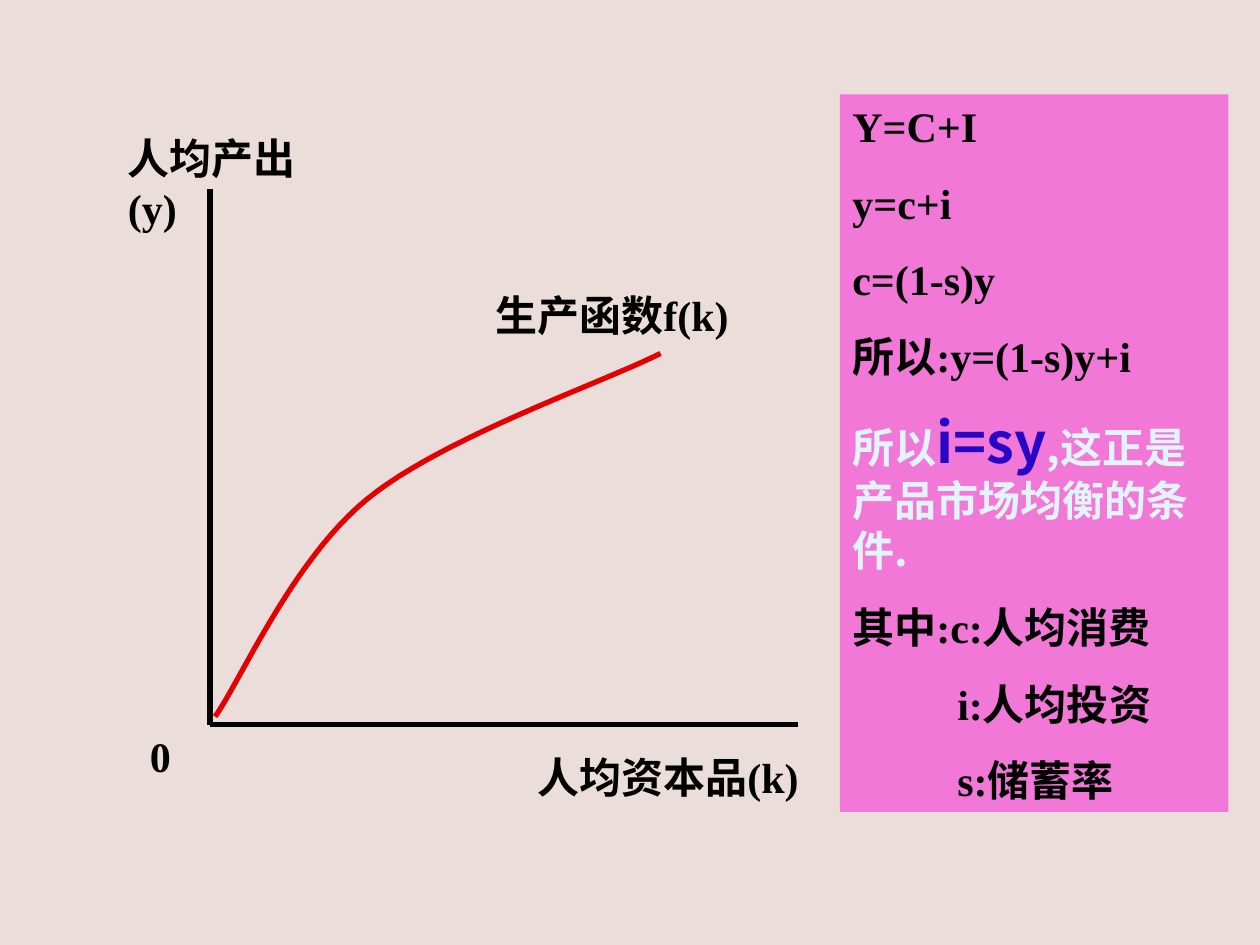
"""Build the production function slide with its derivation panel."""
from dataclasses import dataclass
from typing import NamedTuple

from lxml.etree import SubElement
from pptx import Presentation
from pptx.dml.color import RGBColor as Rgb
from pptx.enum.shapes import MSO_CONNECTOR as Connector, MSO_SHAPE as Preset
from pptx.enum.text import MSO_ANCHOR as Anchor, MSO_AUTO_SIZE as AutoSize, PP_ALIGN as Align
from pptx.oxml.ns import qn
from pptx.util import Pt


@dataclass(frozen=True)
class Theme:
    """Colours, fonts and type sizes of the slide."""
    backdrop: str = "EBDDD9"
    ink: str = "000000"
    curve: str = "E40000"
    panel: str = "F278D8"
    pale: str = "E1F4FF"
    accent: str = "2707C5"
    serif: str = "Times New Roman"
    sans: str = "Noto Sans CJK SC"
    text: float = 24
    large: float = 32
    gap: float = 15
    stroke: float = 3


THEME = Theme()


class Point(NamedTuple):
    """A position in points."""
    x: float
    y: float


class Span(NamedTuple):
    """A stretch of text with one format."""
    text: str
    color: str = THEME.ink
    font: str = THEME.serif
    size: float = THEME.text


class Line(NamedTuple):
    """A paragraph of the panel."""
    spans: list[Span]
    indent: float = 0


class Label(NamedTuple):
    """A free label of the diagram."""
    text: str
    left: float
    top: float
    width: float
    height: float
    wrap: bool = True


LABELS = [
    Label("人均资本品(k)", 300, 426, 180, 36),
    Label("人均产出(y)", 66, 72, 138, 65),
    Label("生产函数f(k)", 276, 162, 156, 36),
    Label("0", 78.5, 414, 26, 36, wrap=False),
]
ORIGIN = Point(120, 414)
AXIS_ENDS = [Point(120, 108), Point(456, 414)]
CURVE = [
    [Point(123, 409.5), Point(137.5, 389), Point(167, 320.5), Point(209.5, 285.5)],
    [Point(209.5, 285.5), Point(252, 250.5), Point(342.5, 219.5), Point(377.5, 202)],
]
PANEL_LINES = [
    Line([Span("Y=C+I")]),
    Line([Span("y=c+i")]),
    Line([Span("c=(1-s)y")]),
    Line([Span("所以:y=(1-s)y+i")]),
    Line([
        Span("所以", THEME.pale, THEME.sans),
        Span("i=sy", THEME.accent, THEME.sans, THEME.large),
        Span(",这正是产品市场均衡的条件.", THEME.pale, THEME.sans),
    ]),
    Line([Span("其中:c:人均消费")]),
    Line([Span("i:人均投资")], indent=60),
    Line([Span("s:储蓄率")], indent=60),
]


def add_span(para, text: str, *, color: str, font: str, size: float) -> None:
    """Append bold text in the given format."""
    run = para.add_run()
    run.text = text
    run.font.size = Pt(size)
    run.font.bold = True
    run.font.name = font
    run.font.color.rgb = Rgb.from_string(color)
    SubElement(run.font._element, qn("a:ea"), typeface=THEME.sans)


def fill_frame(frame, lines: list[Line], wrap: bool = True) -> None:
    """Write the lines into a text frame."""
    frame.word_wrap = wrap
    frame.auto_size = AutoSize.SHAPE_TO_FIT_TEXT
    frame.vertical_anchor = Anchor.TOP
    for index, line in enumerate(lines):
        para = frame.add_paragraph() if index else frame.paragraphs[0]
        para.alignment = Align.LEFT
        para.space_before = Pt(THEME.gap if index else 0)
        if line.indent:
            para._p.get_or_add_pPr().set("marL", str(Pt(line.indent)))
        for span in line.spans:
            add_span(para, span.text, color=span.color, font=span.font, size=span.size)


def add_label(page, label: Label) -> None:
    """Place a diagram label."""
    box = page.shapes.add_textbox(
        Pt(label.left), Pt(label.top), Pt(label.width), Pt(label.height))
    fill_frame(box.text_frame, [Line([Span(label.text)])], label.wrap)


def style_stroke(shape, color: str) -> None:
    """Set the line colour and width."""
    shape.line.color.rgb = Rgb.from_string(color)
    shape.line.width = Pt(THEME.stroke)


def add_axis(page, start: Point, end: Point) -> None:
    """Draw one axis."""
    axis = page.shapes.add_connector(
        Connector.STRAIGHT, Pt(start.x), Pt(start.y), Pt(end.x), Pt(end.y))
    style_stroke(axis, THEME.ink)
    SubElement(axis._element.spPr, qn("a:effectLst"))


def bezier(controls: list[Point], t: float) -> tuple[int, int]:
    """Return the position at t on a cubic curve."""
    weights = ((1 - t) ** 3, 3 * t * (1 - t) ** 2, 3 * t * t * (1 - t), t ** 3)
    x = sum(weight * point.x for weight, point in zip(weights, controls))
    y = sum(weight * point.y for weight, point in zip(weights, controls))
    return Pt(x), Pt(y)


def add_curve(page, segments: list[list[Point]], steps: int = 24) -> None:
    """Draw a smooth open curve through cubic segments."""
    start = segments[0][0]
    builder = page.shapes.build_freeform(Pt(start.x), Pt(start.y))
    builder.add_line_segments(
        [bezier(segment, step / steps) for segment in segments for step in range(1, steps + 1)],
        close=False)
    curve = builder.convert_to_shape()
    curve.shadow.inherit = False
    curve.fill.background()
    style_stroke(curve, THEME.curve)


def add_panel(page, lines: list[Line]) -> None:
    """Draw the coloured derivation panel."""
    panel = page.shapes.add_shape(Preset.RECTANGLE, Pt(480), Pt(54), Pt(222), Pt(410))
    panel.shadow.inherit = False
    panel.fill.solid()
    panel.fill.fore_color.rgb = Rgb.from_string(THEME.panel)
    panel.line.fill.background()
    fill_frame(panel.text_frame, lines)


def main() -> None:
    """Build and save the deck."""
    deck = Presentation()
    deck.slide_width, deck.slide_height = Pt(720), Pt(540)
    page = deck.slides.add_slide(deck.slide_layouts[6])
    page.background.fill.solid()
    page.background.fill.fore_color.rgb = Rgb.from_string(THEME.backdrop)
    for end in AXIS_ENDS:
        add_axis(page, ORIGIN, end)
    add_curve(page, CURVE)
    for label in LABELS:
        add_label(page, label)
    add_panel(page, PANEL_LINES)
    deck.save("out.pptx")


if __name__ == "__main__":
    main()
